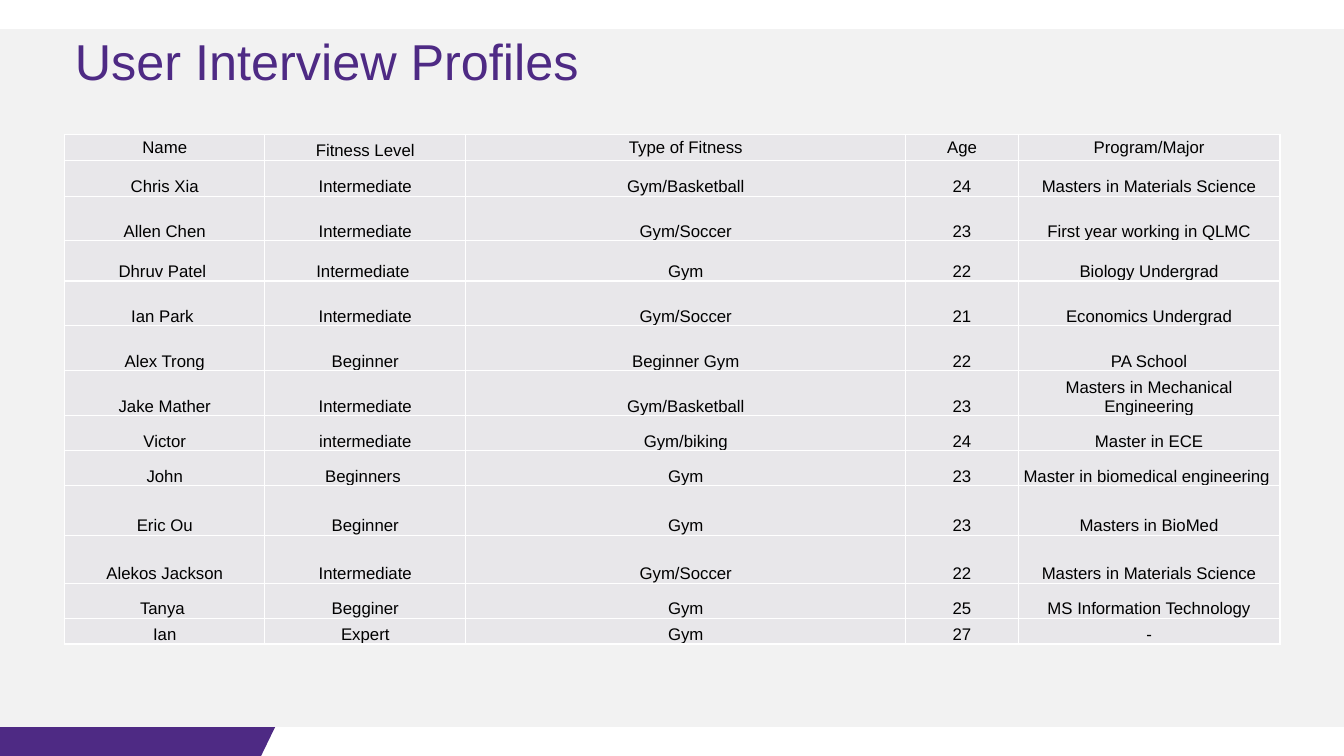
from dataclasses import dataclass
from typing import NamedTuple

from lxml import etree
from pptx import Presentation, util as u
from pptx.dml import color
from pptx.enum import text
from pptx.oxml import ns


@dataclass(frozen=True)
class Theme:
    purple: str = "4E2A84"
    panel: str = "F2F2F2"
    cell: str = "E8E7EA"
    border: str = "FFFFFF"
    ink: str = "000000"
    font: str = "Arial"
    title_size: float = 36
    table_size: float = 12
    border_width: float = 1


class Profile(NamedTuple):
    height: float
    name: str
    level: str
    fitness: str
    age: str
    program: str


class Backdrop(NamedTuple):
    corners: list[tuple[float, float]]
    fill: str


THEME = Theme()
SLIDE_WIDTH, SLIDE_HEIGHT = 960, 540
PANEL_TOP, PANEL_BOTTOM = 20.6, 519.4
LEFT, WIDTH = 46.2, 868.2
TITLE_TOP, TITLE_HEIGHT = 18, 51
TABLE_TOP = 96.2
COLUMN_WIDTHS = [143, 143.5, 314.4, 80.2, 187.1]
CELL_INSET = 0.72

BACKDROPS = [
    Backdrop([(0, PANEL_BOTTOM), (196.5, PANEL_BOTTOM),
              (186.5, SLIDE_HEIGHT), (0, SLIDE_HEIGHT)], THEME.purple),
    Backdrop([(0, PANEL_TOP), (SLIDE_WIDTH, PANEL_TOP),
              (SLIDE_WIDTH, PANEL_BOTTOM), (0, PANEL_BOTTOM)], THEME.panel),
]

PROFILES = [
    Profile(18.3, "Name", "Fitness Level", "Type of Fitness", "Age", "Program/Major"),
    Profile(25.7, "Chris Xia", "Intermediate", "Gym/Basketball", "24", "Masters in Materials Science"),
    Profile(31.8, "Allen Chen", "Intermediate", "Gym/Soccer", "23", "First year working in QLMC"),
    Profile(28.8, "Dhruv Patel ", "Intermediate ", "Gym", "22", "Biology Undergrad"),
    Profile(31.8, "Ian Park ", "Intermediate", "Gym/Soccer", "21", "Economics Undergrad"),
    Profile(32.2, "Alex Trong", "Beginner", "Beginner Gym", "22", "PA School"),
    Profile(32.2, "Jake Mather", "Intermediate", "Gym/Basketball", "23", "Masters in Mechanical Engineering"),
    Profile(25, "Victor", "intermediate", "Gym/biking", "24", "Master in ECE"),
    Profile(25.2, "John", "Beginners ", "Gym", "23", "Master in biomedical engineering "),
    Profile(35.2, "Eric Ou", "Beginner", "Gym", "23", "Masters in BioMed"),
    Profile(34.6, "Alekos Jackson", "Intermediate", "Gym/Soccer", "22", "Masters in Materials Science"),
    Profile(25, "Tanya ", "Begginer", "Gym", "25", "MS Information Technology"),
    Profile(18.3, "Ian", "Expert", "Gym", "27", "-"),
]


def rgb(value: str) -> color.RGBColor:
    return color.RGBColor.from_string(value)


def add_run(paragraph, words: str, size: float, ink: str) -> None:
    run = paragraph.add_run()
    run.text = words
    run.font.name = THEME.font
    run.font.size = u.Pt(size)
    run.font.color.rgb = rgb(ink)


def draw_backdrop(slide, backdrop: Backdrop) -> None:
    start, *others = [(u.Pt(x), u.Pt(y)) for x, y in backdrop.corners]
    outline = slide.shapes.build_freeform(*start)
    outline.add_line_segments(others, close=True)
    band = outline.convert_to_shape()
    band.shadow.inherit = False
    band.fill.solid()
    band.fill.fore_color.rgb = rgb(backdrop.fill)
    band.line.fill.background()


def draw_title(slide, words: str) -> None:
    heading = slide.shapes.title
    heading.left, heading.top = u.Pt(LEFT), u.Pt(TITLE_TOP)
    heading.width, heading.height = u.Pt(WIDTH), u.Pt(TITLE_HEIGHT)
    frame = heading.text_frame
    frame.word_wrap = True
    frame.auto_size = text.MSO_AUTO_SIZE.SHAPE_TO_FIT_TEXT
    frame.vertical_anchor = text.MSO_ANCHOR.TOP
    frame.paragraphs[0].alignment = text.PP_ALIGN.LEFT
    add_run(frame.paragraphs[0], words, THEME.title_size, THEME.purple)
    heading.element.getparent().append(heading.element)


def draw_borders(cell) -> None:
    properties = cell._tc.get_or_add_tcPr()
    for side in ("a:lnL", "a:lnR", "a:lnT", "a:lnB"):
        edge = etree.SubElement(properties, ns.qn(side), w=str(u.Pt(THEME.border_width)))
        fill = etree.SubElement(edge, ns.qn("a:solidFill"))
        etree.SubElement(fill, ns.qn("a:srgbClr"), val=THEME.border)


def fill_cell(cell, words: str, anchor: text.MSO_ANCHOR) -> None:
    draw_borders(cell)
    cell.fill.solid()
    cell.fill.fore_color.rgb = rgb(THEME.cell)
    cell.margin_left = cell.margin_right = cell.margin_top = u.Pt(CELL_INSET)
    cell.margin_bottom = u.Pt(0)
    cell.vertical_anchor = anchor
    paragraph = cell.text_frame.paragraphs[0]
    paragraph.alignment = text.PP_ALIGN.CENTER
    add_run(paragraph, words, THEME.table_size, THEME.ink)


def draw_profiles(slide, profiles: list[Profile]) -> None:
    height = sum(profile.height for profile in profiles)
    interviews = slide.shapes.add_table(
        len(profiles), len(COLUMN_WIDTHS),
        u.Pt(LEFT), u.Pt(TABLE_TOP), u.Pt(WIDTH), u.Pt(height)).table
    for column, width in zip(interviews.columns, COLUMN_WIDTHS):
        column.width = u.Pt(width)
    for row, profile in zip(interviews.rows, profiles):
        row.height = u.Pt(profile.height)
        for cell, words in zip(row.cells, profile[1:]):
            centred = profile is profiles[0] and words != "Fitness Level"
            anchor = text.MSO_ANCHOR.MIDDLE if centred else text.MSO_ANCHOR.BOTTOM
            fill_cell(cell, words, anchor)


def main() -> None:
    deck = Presentation()
    deck.slide_width, deck.slide_height = u.Pt(SLIDE_WIDTH), u.Pt(SLIDE_HEIGHT)
    slide = deck.slides.add_slide(deck.slide_layouts.get_by_name("Title Only"))
    for backdrop in BACKDROPS:
        draw_backdrop(slide, backdrop)
    draw_profiles(slide, PROFILES)
    draw_title(slide, "User Interview Profiles")
    deck.save("out.pptx")


if __name__ == "__main__":
    main()
